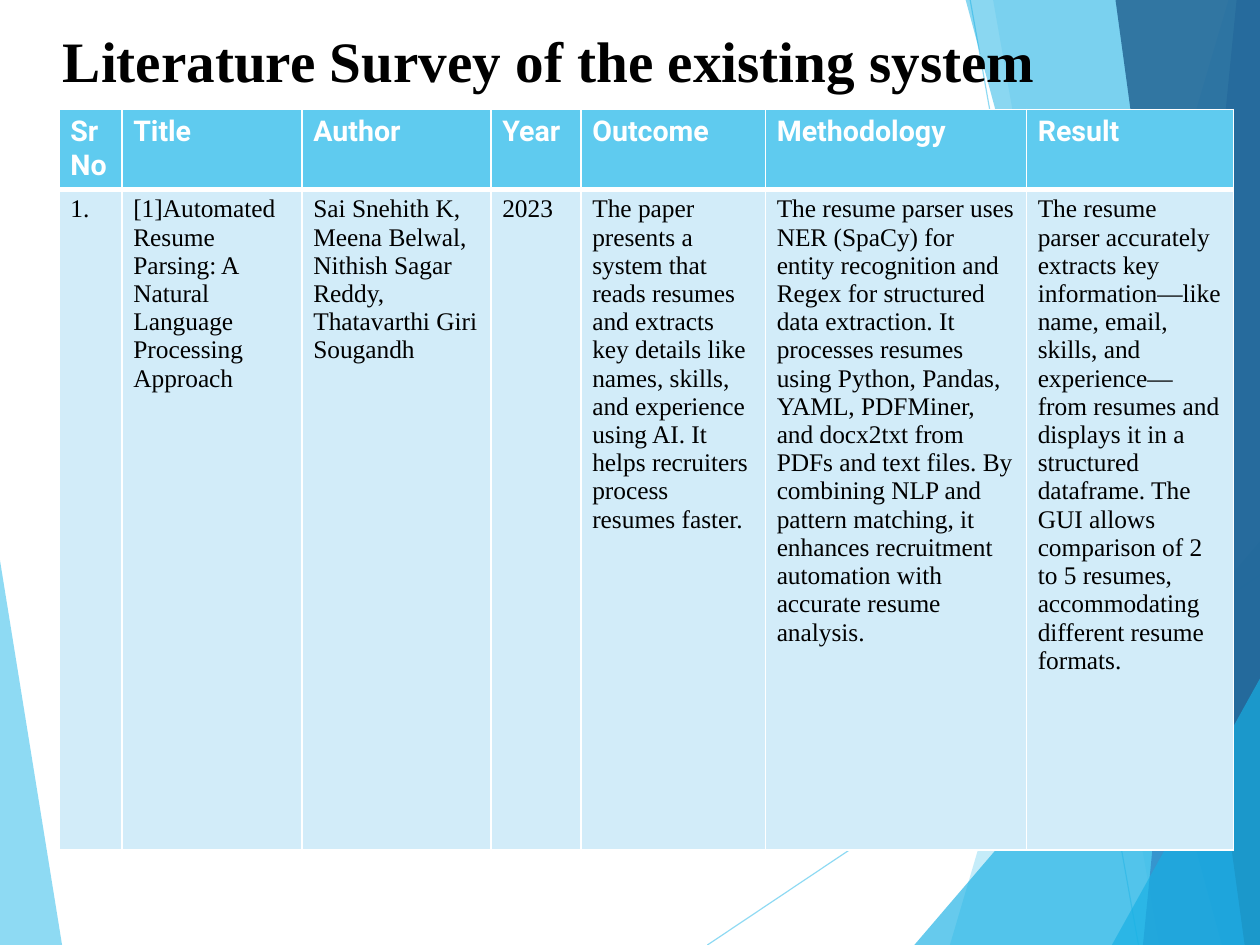
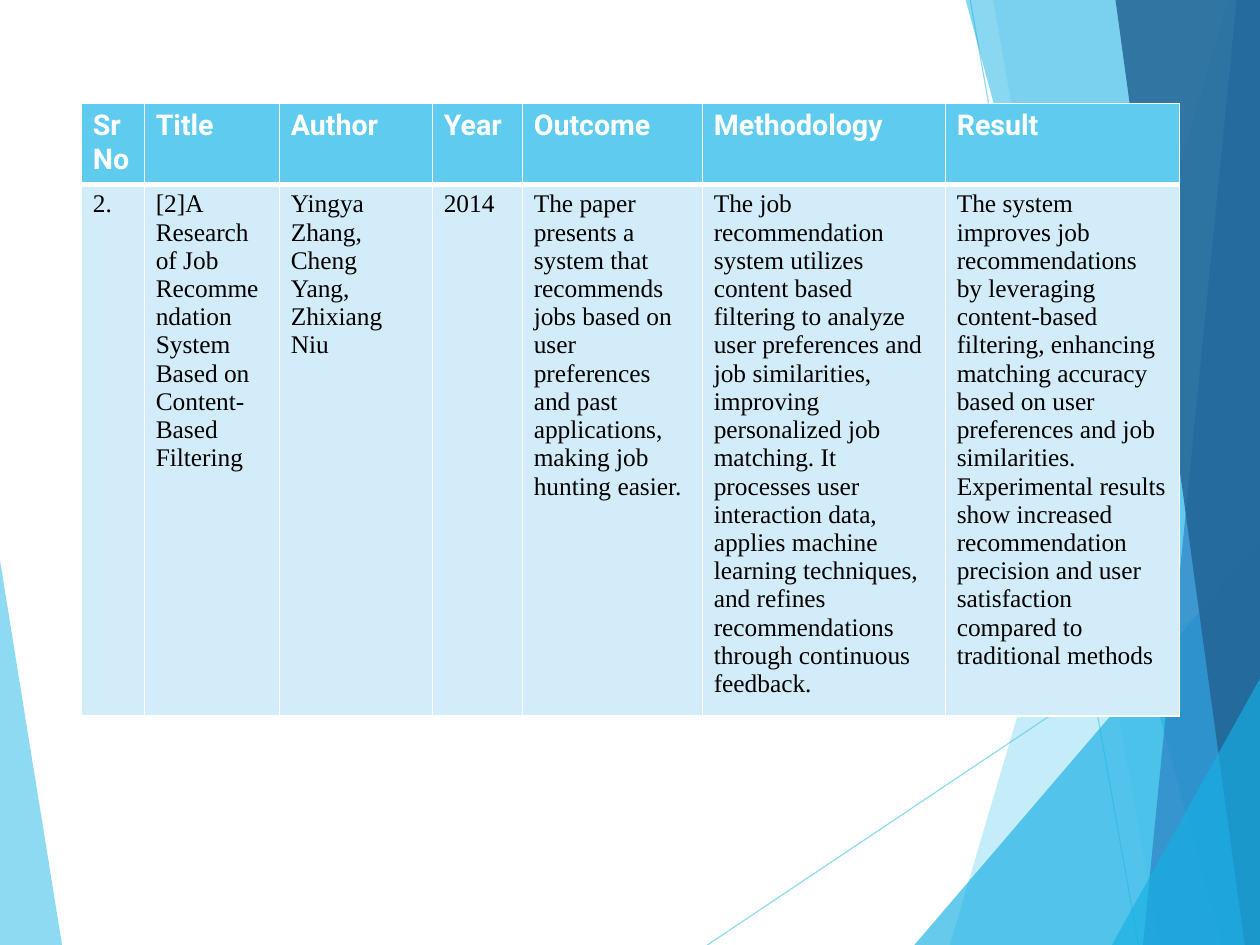
import lxml.etree
import pptx
import pptx.dml.color
import pptx.enum.shapes
import pptx.enum.text
import pptx.oxml.ns
import pptx.util

Cm, Pt, qn = pptx.util.Cm, pptx.util.Pt, pptx.oxml.ns.qn

WIDTH, HEIGHT = 28, 21
HEADERS = ["Sr No", "Title", "Author", "Year", "Outcome", "Methodology", "Result"]


def rgb(color):
    return pptx.dml.color.RGBColor.from_string(color)


def set_opacity(sp, percent):
    for color in sp.element.spPr.iter(qn("a:srgbClr")):
        lxml.etree.SubElement(color, qn("a:alpha"), val=str(percent * 1000))


def right_facet(top, bottom):
    return [(top, 0), (bottom, HEIGHT), (WIDTH, HEIGHT), (WIDTH, 0)]


def corner_facet(left, top):
    return [(left, HEIGHT), (WIDTH, top), (WIDTH, HEIGHT)]


class Deck:
    SKY, CYAN, BLUE, NAVY = "5FCBEF", "17B0E4", "2E83C3", "226292"
    PALE, WHITE, BLACK = "D2ECF9", "FFFFFF", "000000"
    SERIF, SANS = "Times New Roman", "Roboto"

    def __init__(self):
        self.prs = pptx.Presentation()
        self.prs.slide_width, self.prs.slide_height = Cm(WIDTH), Cm(HEIGHT)
        self.s = None

    def slide(self):
        self.s = self.prs.slides.add_slide(self.prs.slide_layouts[6])
        self.facet([(0, 12.45), (1.38, HEIGHT), (0, HEIGHT)], self.SKY, 70)
        self.line((15.72, HEIGHT), (WIDTH, 12.78))
        self.line((21.56, 0), (25.3, HEIGHT))
        for points, color, opacity in [
            (right_facet(27.3, 21.11), self.SKY, 36),
            (right_facet(22.07, 25.76), self.SKY, 20),
            (corner_facet(20.32, 12.03), self.CYAN, 66),
            (right_facet(21.46, 27.15), self.CYAN, 50),
            (right_facet(27.48, 25.4), self.BLUE, 70),
            (right_facet(24.79, 27.66), self.NAVY, 82),
            (corner_facet(24.71, 15.08), self.CYAN, 66),
        ]:
            self.facet(points, color, opacity)

    def facet(self, points, color, opacity):
        start, *rest = [(Cm(x), Cm(y)) for x, y in points]
        builder = self.s.shapes.build_freeform(*start)
        builder.add_line_segments(rest, close=True)
        sp = builder.convert_to_shape()
        sp.shadow.inherit = False
        sp.fill.solid()
        sp.fill.fore_color.rgb = rgb(color)
        sp.line.fill.background()
        set_opacity(sp, opacity)

    def line(self, start, end):
        sp = self.s.shapes.add_connector(
            pptx.enum.shapes.MSO_CONNECTOR.STRAIGHT, *map(Cm, start + end))
        sp.line.color.rgb = rgb(self.SKY)
        sp.line.width = Pt(0.75)
        set_opacity(sp, 70)
        lxml.etree.SubElement(sp.element.spPr, qn("a:effectLst"))

    def font(self, p, name, size, color, bold):
        p.font.name, p.font.size, p.font.bold = name, Pt(size), bold
        p.font.color.rgb = rgb(color)

    def title(self, text):
        tf = self.s.shapes.add_textbox(Cm(1.4), Cm(0.5), Cm(25.2), Cm(1.73)).text_frame
        tf.word_wrap = True
        tf.vertical_anchor = pptx.enum.text.MSO_ANCHOR.MIDDLE
        tf.margin_left = tf.margin_right = tf.margin_bottom = 0
        tf.margin_top = Cm(0.08)
        p = tf.paragraphs[0]
        p.text = text
        p.line_spacing = 0.93
        self.font(p, self.SERIF, 36, self.BLACK, True)

    def borders(self, cell, top, bottom):
        tc_pr = cell._tc.get_or_add_tcPr()
        for side, points in [("L", 1), ("R", 1), ("T", top), ("B", bottom)]:
            ln = lxml.etree.SubElement(tc_pr, qn(f"a:ln{side}"), w=str(Pt(points)))
            fill = lxml.etree.SubElement(ln, qn("a:solidFill"))
            lxml.etree.SubElement(fill, qn("a:srgbClr"), val=self.WHITE)

    def cell(self, cell, text, header):
        self.borders(cell, 1 if header else 3, 3 if header else 1)
        cell.fill.solid()
        cell.fill.fore_color.rgb = rgb(self.SKY if header else self.PALE)
        cell.text_frame.text = text
        for p in cell.text_frame.paragraphs:
            if header:
                self.font(p, self.SANS, 18, self.WHITE, True)
            else:
                self.font(p, self.SERIF, 16, self.BLACK, False)

    def table(self, left, top, widths, heights, entry):
        rows = [HEADERS, entry]
        table = self.s.shapes.add_table(
            len(rows), len(HEADERS), Cm(left), Cm(top),
            Cm(sum(widths)), Cm(sum(heights))).table
        table.horz_banding = False
        for column, width in zip(table.columns, widths):
            column.width = Cm(width)
        for i, (height, texts) in enumerate(zip(heights, rows)):
            table.rows[i].height = Cm(height)
            for j, text in enumerate(texts):
                self.cell(table.cell(i, j), text, header=i == 0)


def main():
    deck = Deck()

    deck.slide()
    deck.title("Literature Survey of the existing system")
    deck.table(1.31, 2.43, [1.4, 4, 4.2, 2, 4.1, 5.8, 4.6], [1.78, 14.68], [
        "1.",
        "[1]Automated Resume Parsing: A Natural Language Processing Approach",
        "Sai Snehith K,\nMeena Belwal,\nNithish Sagar Reddy,\nThatavarthi Giri Sougandh",
        "2023",
        "The paper presents a system that reads resumes and extracts key details like "
        "names, skills, and experience using AI. It helps recruiters process resumes faster.",
        "The resume parser uses NER (SpaCy) for entity recognition and Regex for "
        "structured data extraction. It processes resumes using Python, Pandas, YAML, "
        "PDFMiner, and docx2txt from PDFs and text files. By combining NLP and pattern "
        "matching, it enhances recruitment automation with accurate resume analysis.",
        "The resume parser accurately extracts key information—like name, email, skills, "
        "and experience—from resumes and displays it in a structured dataframe. The GUI "
        "allows comparison of 2 to 5 resumes, accommodating different resume formats.",
    ])

    deck.slide()
    deck.table(1.81, 2.3, [1.4, 3, 3.4, 2, 4, 5.4, 5.2], [1.8, 11.81], [
        "2.",
        "[2]A Research of Job Recommendation System Based on Content-Based Filtering",
        "Yingya Zhang, Cheng Yang, Zhixiang Niu",
        "2014",
        "The paper presents a system that recommends jobs based on user preferences and "
        "past applications, making job hunting easier.",
        "The job recommendation system utilizes content based filtering to analyze user "
        "preferences and job similarities, improving personalized job matching. It "
        "processes user interaction data, applies machine learning techniques, and "
        "refines recommendations through continuous feedback.",
        "The system improves job recommendations by leveraging content-based filtering, "
        "enhancing matching accuracy based on user preferences and job similarities. "
        "Experimental results show increased recommendation precision and user "
        "satisfaction compared to traditional methods",
    ])

    deck.prs.save("out.pptx")


if __name__ == "__main__":
    main()
